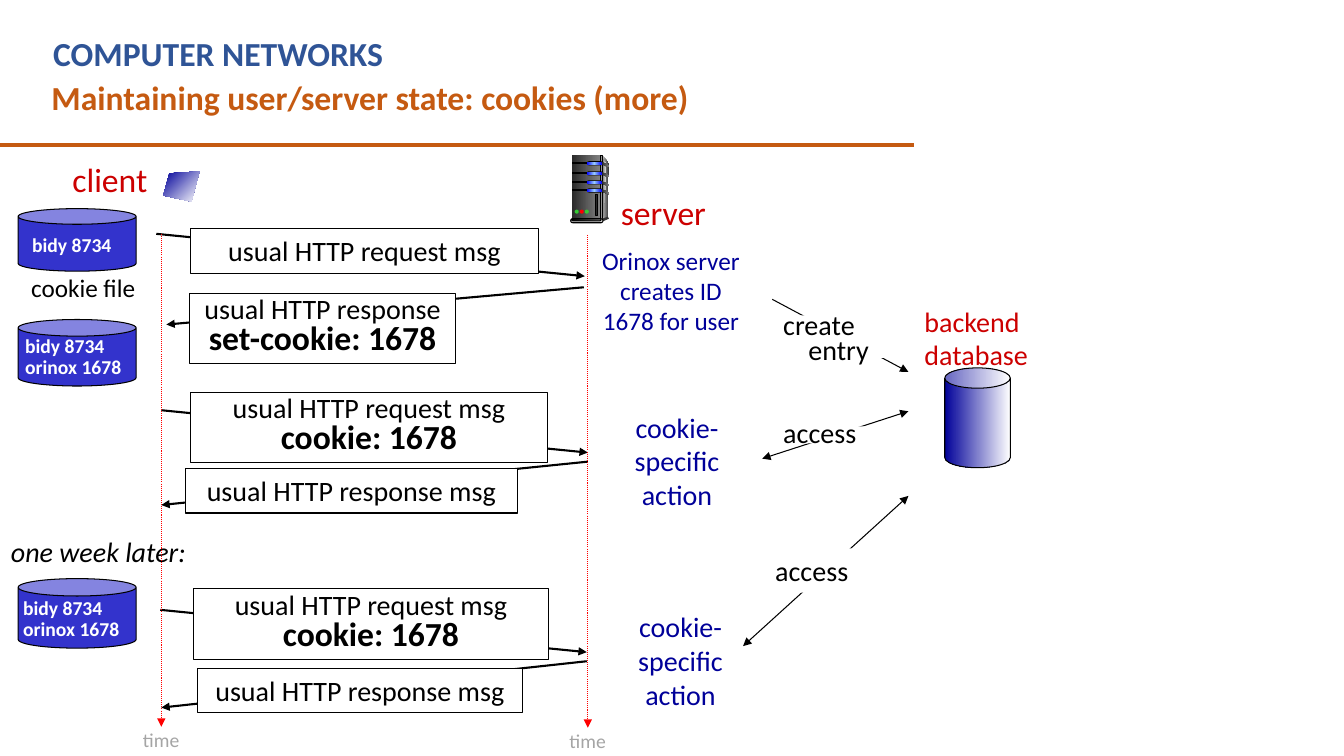
from lxml import etree
from pptx import Presentation
from pptx.dml.color import RGBColor
from pptx.enum import dml, shapes, text
from pptx.oxml.ns import qn
from pptx.util import Inches, Pt

COLOURS = {
    "black": "000000", "white": "FFFFFF", "heading": "2F5496", "rust": "C55A11",
    "red": "CC0000", "navy": "000099", "can": "3333CC", "axis": "FF0000",
    "grey": "A5A5A5", "charcoal": "292929", "slate": "333333", "mid": "808080",
    "silver": "DDDDDD", "pale": "F8F8F8", "green": "33CC33", "blue": "0000FF",
    "sky": "99CCFF",
}
FONT = "Calibri"
TITLE = "Maintaining user/server state: cookies (more)"
REQUEST = "usual HTTP request msg"
RESPONSE = "usual HTTP response msg"
COOKIE = ("cookie: 1678", 24, True)
ACTION = ["cookie-", "specific", "action"]
SAVED = ["bidy 8734", "orinox 1678"]

MESSAGES = [
    ((1.55, 2.32, 5.80, 2.74), (1.89, 2.27, 3.45, 0.44), [REQUEST]),
    ((5.79, 2.85, 1.65, 3.22), (1.88, 2.91, 2.64, 0.70),
     ["usual HTTP response", ("set-cookie: 1678", 24, True)]),
    ((1.60, 4.07, 5.83, 4.49), (1.89, 3.89, 3.54, 0.70), [REQUEST, COOKIE]),
    ((5.83, 4.58, 1.60, 5.01), (1.84, 4.65, 3.29, 0.44), [RESPONSE]),
    ((1.59, 6.05, 5.82, 6.47), (1.92, 5.84, 3.52, 0.70), [REQUEST, COOKIE]),
    ((5.82, 6.56, 1.60, 7.02), (1.96, 6.63, 3.22, 0.44), [RESPONSE]),
]
DATABASE_LINKS = [
    ((7.66, 2.97, 9.01, 3.69), False, (7.85, 3.13, 1.23, 0.42)),
    ((7.56, 4.55, 9.01, 4.08), True, (7.89, 4.23, 0.81, 0.17)),
    ((7.37, 6.41, 9.01, 4.92), True, (7.59, 5.44, 1.12, 0.44)),
]
COOKIE_FILES = [
    ((0.18, 2.07, 1.17, 0.62), (0.22, 2.26, 1.10, 0.34), SAVED[:1], 1),
    ((0.18, 3.17, 1.17, 0.66), (0.15, 3.29, 1.59, 0.53), SAVED, 0.9),
    ((0.18, 5.74, 1.17, 0.69), (0.13, 5.89, 1.52, 0.52), SAVED, 0.9),
]
LABELS = [
    ((0.43, 0.28, 8.20, 0.50), ["COMPUTER NETWORKS"], dict(size=24, colour="heading", bold=True)),
    ((0.61, 1.53, 0.96, 0.50), ["client"], dict(size=24, colour="red", centred=True)),
    ((6.05, 1.85, 1.06, 0.50), ["server"], dict(size=24, colour="red", centred=True)),
    ((0.21, 2.65, 1.95, 0.40), ["cookie file"], dict(size=18)),
    ((0.01, 5.25, 1.98, 0.44), ["one week later:"], dict(italic=True)),
    ((5.79, 2.38, 1.73, 1.01), ["Orinox server", "creates ID", "1678 for user"],
     dict(size=18, colour="navy", centred=True)),
    ((6.08, 4.02, 1.27, 1.11), ACTION, dict(colour="navy", centred=True)),
    ((6.12, 6.00, 1.26, 1.11), ACTION, dict(colour="navy", centred=True)),
    ((7.67, 3.08, 1.50, 0.62), ["create", "entry"], dict(spacing=0.75, last_indent=0.25)),
    ((7.67, 4.07, 1.13, 0.44), ["access"], {}),
    ((7.59, 5.44, 1.12, 0.44), ["access"], {}),
    ((9.07, 2.97, 1.25, 0.77), ["backend", "database"], dict(colour="red")),
]
TIMELINES = [(1.60, 2.32, 7.21), (5.83, 2.33, 7.22)]
DRIVE_TOPS = [1.60, 1.70, 1.79, 1.87]
LIGHTS = [(5.70, "green"), (5.75, "axis"), (5.80, "green")]

presentation = Presentation()
presentation.slide_width, presentation.slide_height = Inches(13.33), Inches(7.5)
slide = presentation.slides.add_slide(presentation.slide_layouts[5])


def rgb(name):
    return RGBColor.from_string(COLOURS[name])


def paint(shape, fill, line=None, angle=0):
    shape.shadow.inherit = False
    if isinstance(fill, str):
        shape.fill.solid()
        shape.fill.fore_color.rgb = rgb(fill)
    else:
        shape.fill.gradient()
        shape.fill.gradient_angle = -angle % 360
        stops = shape._element.spPr.find(qn("a:gradFill")).find(qn("a:gsLst"))
        for stop in list(stops):
            stops.remove(stop)
        for index, name in enumerate(fill):
            position = index * 100000 // (len(fill) - 1)
            stop = etree.SubElement(stops, qn("a:gs"), pos=str(position))
            etree.SubElement(stop, qn("a:srgbClr"), val=COLOURS[name])
    if line:
        shape.line.color.rgb = rgb(line)
        shape.line.width = Pt(0.75)
    else:
        shape.line.fill.background()


def add_block(kind, box, fill, line=None, adjust=None):
    shape = slide.shapes.add_shape(getattr(shapes.MSO_SHAPE, kind), *map(Inches, box))
    paint(shape, fill, line)
    if adjust is not None:
        shape.adjustments[0] = adjust
    return shape


def add_polygon(points, fill, angle=0):
    corners = [(Inches(x), Inches(y)) for x, y in points]
    builder = slide.shapes.build_freeform(*corners[0])
    builder.add_line_segments(corners[1:], close=True)
    paint(builder.convert_to_shape(), fill, angle=angle)


def write(shape, lines, size=20, colour="black", bold=False, italic=False,
          centred=False, spacing=1, last_indent=0):
    frame = shape.text_frame
    frame.word_wrap = True
    frame.auto_size = text.MSO_AUTO_SIZE.NONE
    frame.vertical_anchor = text.MSO_ANCHOR.TOP
    entries = [(entry, size, bold) if isinstance(entry, str) else entry for entry in lines]
    frame.text = "\n".join(entry[0] for entry in entries)
    for paragraph, (_, points, heavy) in zip(frame.paragraphs, entries):
        paragraph.alignment = text.PP_ALIGN.CENTER if centred else text.PP_ALIGN.LEFT
        paragraph.line_spacing = spacing
        font = paragraph.runs[0].font
        font.name, font.size, font.bold, font.italic = FONT, Pt(points), heavy, italic
        font.color.rgb = rgb(colour)
    if last_indent:
        paragraph._p.get_or_add_pPr().set("marL", str(Inches(last_indent)))


def add_label(box, lines, **style):
    write(slide.shapes.add_textbox(*map(Inches, box)), lines, **style)


def add_line(ends, colour="black", width=0.75, arrows=("tailEnd",), dotted=False):
    line = slide.shapes.add_connector(shapes.MSO_CONNECTOR.STRAIGHT, *map(Inches, ends))
    line.line.color.rgb = rgb(colour)
    line.line.width = Pt(width)
    if dotted:
        line.line.dash_style = dml.MSO_LINE.ROUND_DOT
    outline = line.line._get_or_add_ln()
    for arrow in arrows:
        etree.SubElement(outline, qn("a:" + arrow), type="triangle")
    etree.SubElement(line._element.spPr, qn("a:effectLst"))


def add_server():
    add_polygon([(5.97, 1.54), (6.04, 1.62), (6.03, 2.15), (5.96, 2.18)], ["silver", "slate"])
    add_block("RECTANGLE", (5.67, 1.54, 0.28, 0.64), ["charcoal", "mid"])
    add_polygon([(5.98, 1.58), (6.02, 1.63), (5.98, 2.16)], ["mid", "pale"])
    add_block("RECTANGLE", (5.96, 1.54, 0.02, 0.64), ["slate", "silver", "slate"], "black")
    for top in DRIVE_TOPS:
        add_block("RECTANGLE", (5.68, top + 0.01, 0.16, 0.01), "black", "black")
        add_block("ROUNDED_RECTANGLE", (5.82, top, 0.16, 0.04), "black", adjust=0.5)
        add_block("ROUNDED_RECTANGLE", (5.82, top + 0.01, 0.15, 0.03),
                  ["blue", "sky", "blue"], adjust=0.5)
        add_polygon([(5.97, top + 0.01), (6.04, top + 0.04), (6.04, top + 0.06),
                     (5.97, top + 0.03)], ["charcoal", "mid"])
    add_polygon([(5.97, 2.17), (5.97, 2.20), (6.04, 2.17), (6.03, 2.15)], "slate")
    add_block("ROUNDED_RECTANGLE", (5.66, 2.17, 0.32, 0.04), "silver", "black", 0.5)
    add_block("ROUNDED_RECTANGLE", (5.67, 2.17, 0.29, 0.02), ["black", "mid"], "black", 0.5)
    for left, colour in LIGHTS:
        add_block("OVAL", (left, 2.08, 0.04, 0.04), colour)
    add_block("RECTANGLE", (5.91, 1.93, 0.02, 0.21), "charcoal", "black")


title = slide.shapes.title
title.left, title.top, title.width, title.height = map(Inches, (0.41, 0.71, 8.75, 0.5))
write(title, [TITLE], size=24, colour="rust", bold=True)
add_line((0, 1.44, 9.07, 1.44), "rust", 3, arrows=())

for ends, box, lines in MESSAGES:
    add_line(ends, width=1.5)
    message = add_block("RECTANGLE", box, "white", "black")
    write(message, lines, centred=True, spacing=0.8 if len(lines) > 1 else 1)

for ends, both_ways, gap in DATABASE_LINKS:
    add_line(ends, arrows=("headEnd", "tailEnd") if both_ways else ("tailEnd",))
    add_block("RECTANGLE", gap, "white")

for can, box, lines, spacing in COOKIE_FILES:
    add_block("CAN", can, "can", "black", 0.25)
    add_label(box, lines, size=14, colour="white", bold=True, spacing=spacing)

for box, lines, style in LABELS:
    add_label(box, lines, **style)

add_block("CAN", (9.37, 3.65, 0.65, 0.99), ["navy", "white"], "black", 0.31)
add_server()
add_polygon([(1.98, 1.70), (1.68, 1.72), (1.62, 1.94), (1.90, 2.00)], ["navy", "white"], 45)

for x, top, bottom in TIMELINES:
    add_line((x, top, x, bottom), "axis", dotted=True)
    add_label((x - 0.28, bottom, 0.57, 0.3), ["time"], size=14, colour="grey", spacing=0.85)

presentation.save("out.pptx")
